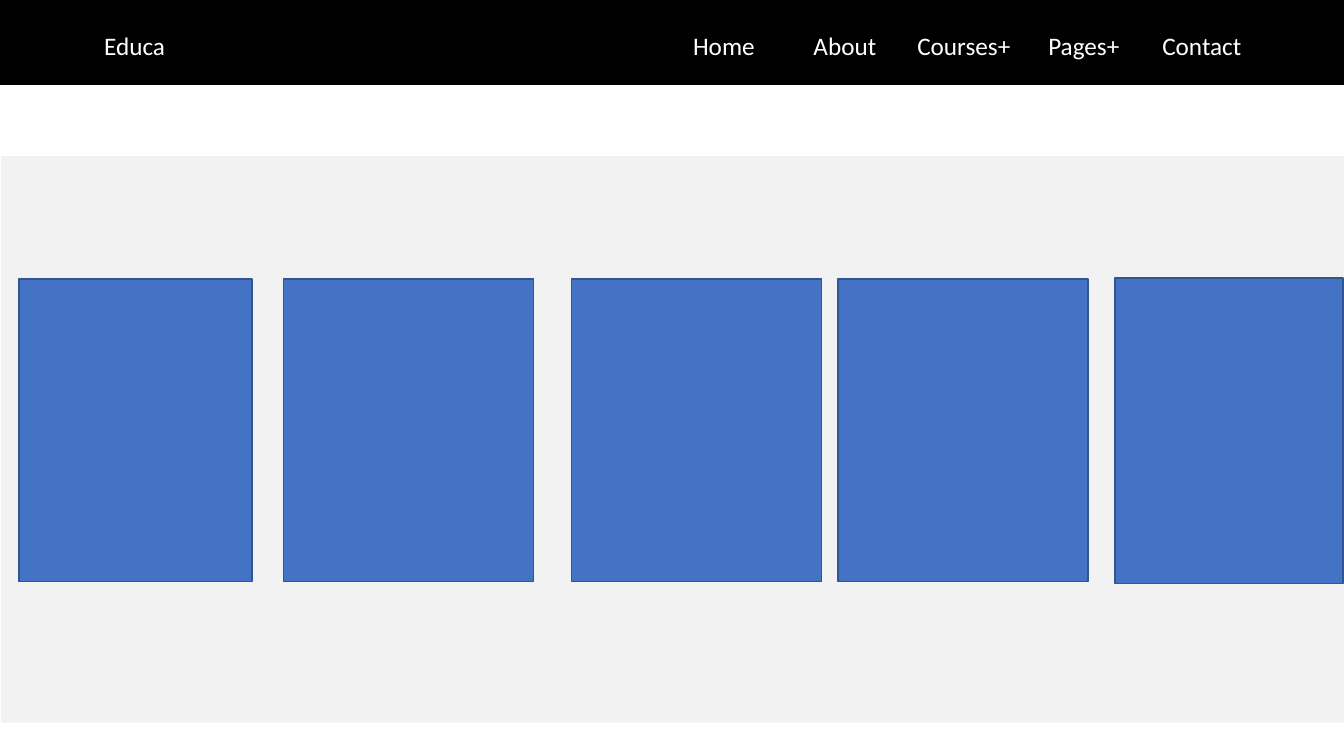
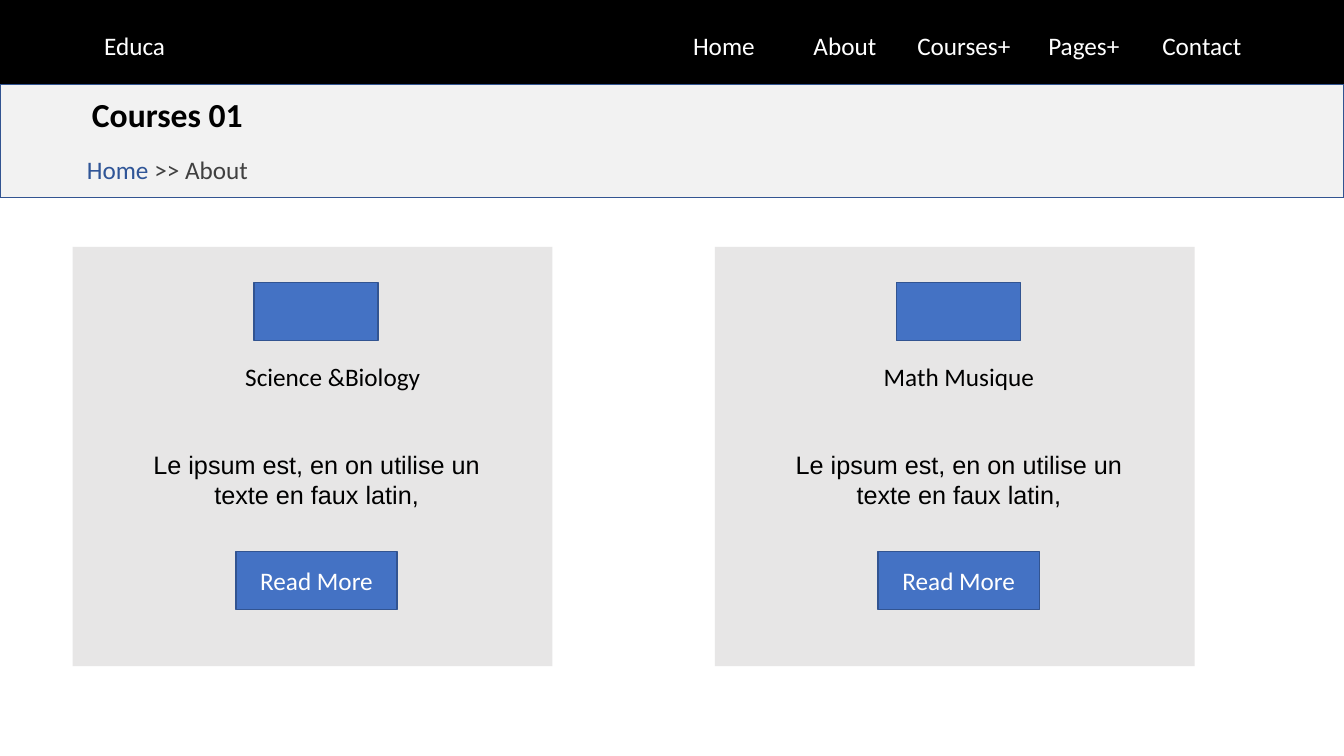
from pptx import Presentation
from pptx.dml.color import RGBColor
from pptx.enum.shapes import MSO_SHAPE
from pptx.enum.text import MSO_ANCHOR, MSO_AUTO_SIZE, PP_ALIGN
from pptx.util import Inches, Pt

RECTANGLE = MSO_SHAPE.RECTANGLE
MIDDLE = MSO_ANCHOR.MIDDLE
CENTER = PP_ALIGN.CENTER
NO_AUTOFIT = MSO_AUTO_SIZE.NONE
TITLE_ONLY_LAYOUT, BLANK_LAYOUT = 5, 6

BLACK, WHITE = "000000", "FFFFFF"
PALE_GREY, CARD_GREY, DARK_GREY = "F2F2F2", "E7E6E6", "404040"
BLUE, OUTLINE_BLUE, LINK_BLUE = "4472C4", "325491", "2F5597"

SLIDE_WIDTH, SLIDE_HEIGHT = 13.33, 7.5
HEADER_HEIGHT = 0.84
MENU_TOP, MENU_HEIGHT = 0.25, 0.41
MENU = [
    ("Educa", 0.74, 1.19),
    ("Home", 6.68, 1),
    ("About", 7.88, 1),
    ("Courses+", 8.96, 1.2),
    ("Pages+", 10.25, 1),
    ("Contact", 11.42, 1),
]
TILES = [
    (0.19, 2.77, 2.31, 3),
    (2.81, 2.77, 2.48, 3),
    (5.67, 2.77, 2.48, 3),
    (8.31, 2.77, 2.48, 3),
    (11.06, 2.76, 2.26, 3.03),
]
PAGE_TITLE = "Courses 01"
BREADCRUMB = [("Home ", LINK_BLUE), (">> About", DARK_GREY)]
SUMMARY = "Le ipsum est, en on utilise un texte en faux latin,"
BUTTON = "Read More"
CARDS = [("Science &Biology", 2.22), ("Math Musique", 1.9)]
CARD_LEFT, CARD_TOP, CARD_STEP = 0.72, 2.45, 6.37


def color(value):
    return RGBColor.from_string(value)


def box(left, top, width, height):
    return [Inches(value) for value in (left, top, width, height)]


def write(shape, runs, size=18, font="Calibri", bold=False):
    frame = shape.text_frame
    frame.word_wrap = True
    frame.auto_size = NO_AUTOFIT
    frame.vertical_anchor = MIDDLE
    paragraph = frame.paragraphs[0]
    paragraph.alignment = CENTER
    paragraph.font.size = Pt(size)
    paragraph.font.name = font
    paragraph.font.bold = bold
    for text, text_color in runs:
        run = paragraph.add_run()
        run.text = text
        run.font.color.rgb = color(text_color)


def add_text(slide, position, runs, **style):
    write(slide.shapes.add_textbox(*box(*position)), runs, **style)


def add_rectangle(slide, position, fill, line=None):
    shape = slide.shapes.add_shape(RECTANGLE, *box(*position))
    shape.shadow.inherit = False
    shape.fill.solid()
    shape.fill.fore_color.rgb = color(fill)
    if line:
        shape.line.color.rgb = color(line)
        shape.line.width = Pt(1)
    else:
        shape.line.fill.background()
    return shape


def add_page(presentation, layout):
    slide = presentation.slides.add_slide(presentation.slide_layouts[layout])
    add_rectangle(slide, (0, 0, SLIDE_WIDTH, HEADER_HEIGHT), BLACK, BLACK)
    for label, left, width in MENU:
        add_text(slide, (left, MENU_TOP, width, MENU_HEIGHT), [(label, WHITE)])
    return slide


def add_title(slide, text, position):
    title = slide.shapes.title
    title.left, title.top, title.width, title.height = box(*position)
    write(title, [(text, BLACK)], size=24, bold=True)
    slide.shapes._spTree.append(title._element)


def add_card(slide, left, heading, heading_width):
    def inside(x, y, width, height):
        return left + x, CARD_TOP + y, width, height

    add_rectangle(slide, inside(0, 0, 4.76, 4.16), CARD_GREY)
    add_rectangle(slide, inside(1.8, 0.35, 1.23, 0.58), BLUE, OUTLINE_BLUE)
    add_text(slide, inside(1.47, 0.99, heading_width, 0.58), [(heading, BLACK)])
    add_text(slide, inside(0.58, 1.87, 3.68, 0.87), [(SUMMARY, BLACK)], font="Arial")
    button = add_rectangle(slide, inside(1.62, 3.02, 1.6, 0.58), BLUE, OUTLINE_BLUE)
    write(button, [(BUTTON, WHITE)])


def build_gallery(presentation):
    slide = add_page(presentation, BLANK_LAYOUT)
    add_rectangle(slide, (0.01, 1.55, SLIDE_WIDTH, 5.62), PALE_GREY)
    for tile in TILES:
        add_rectangle(slide, tile, BLUE, OUTLINE_BLUE)


def build_courses(presentation):
    slide = add_page(presentation, TITLE_ONLY_LAYOUT)
    add_rectangle(slide, (0, HEADER_HEIGHT, SLIDE_WIDTH, 1.12), PALE_GREY, OUTLINE_BLUE)
    add_title(slide, PAGE_TITLE, (0.8, 0.89, 1.72, 0.48))
    add_text(slide, (0.6, 1.45, 2.12, 0.47), BREADCRUMB)
    for index, (heading, heading_width) in enumerate(CARDS):
        add_card(slide, CARD_LEFT + index * CARD_STEP, heading, heading_width)


def main():
    presentation = Presentation()
    presentation.slide_width = Inches(SLIDE_WIDTH)
    presentation.slide_height = Inches(SLIDE_HEIGHT)
    build_gallery(presentation)
    build_courses(presentation)
    presentation.save("out.pptx")


if __name__ == "__main__":
    main()
